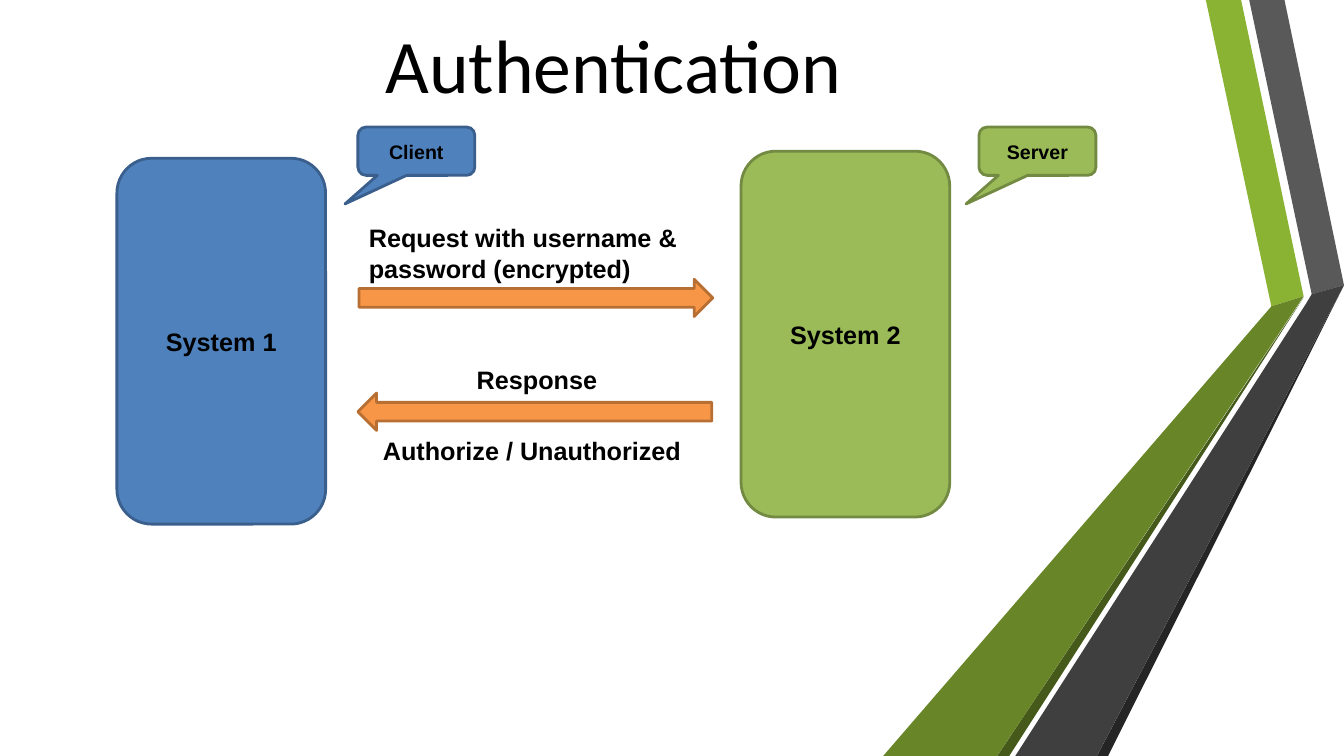
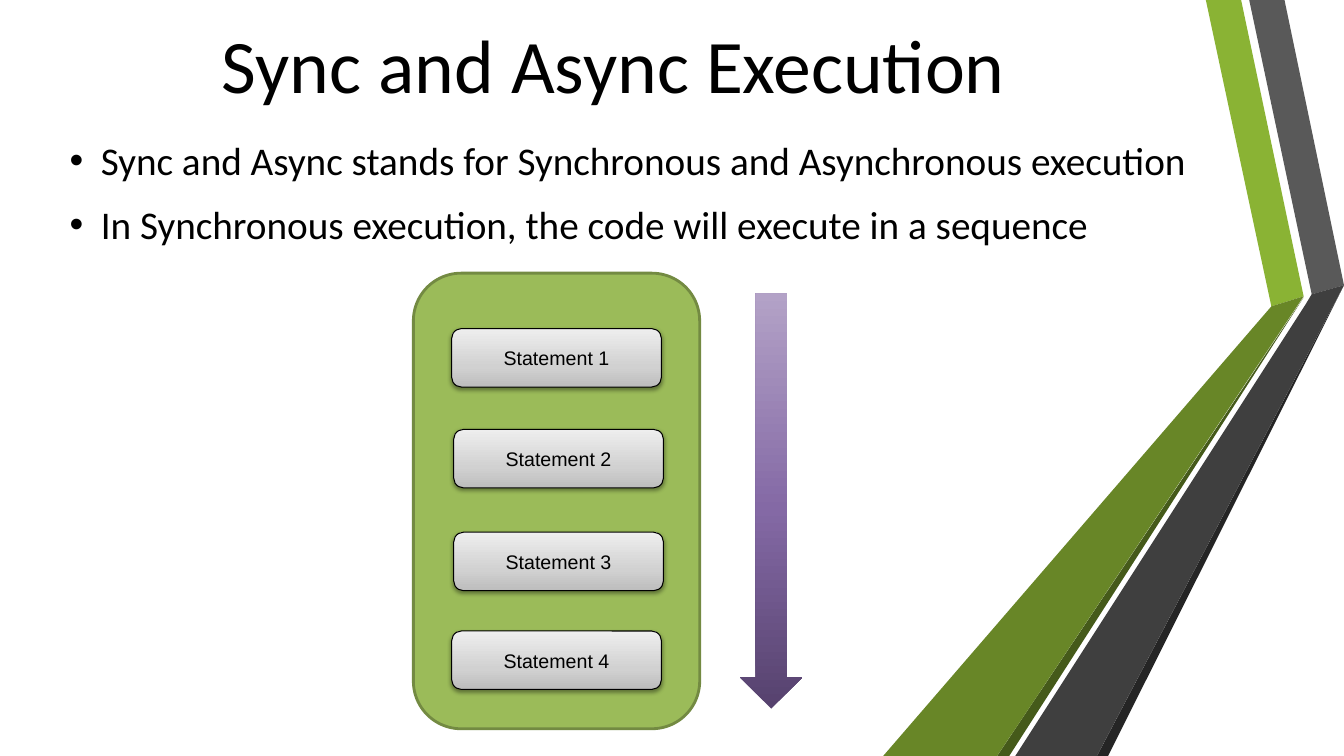
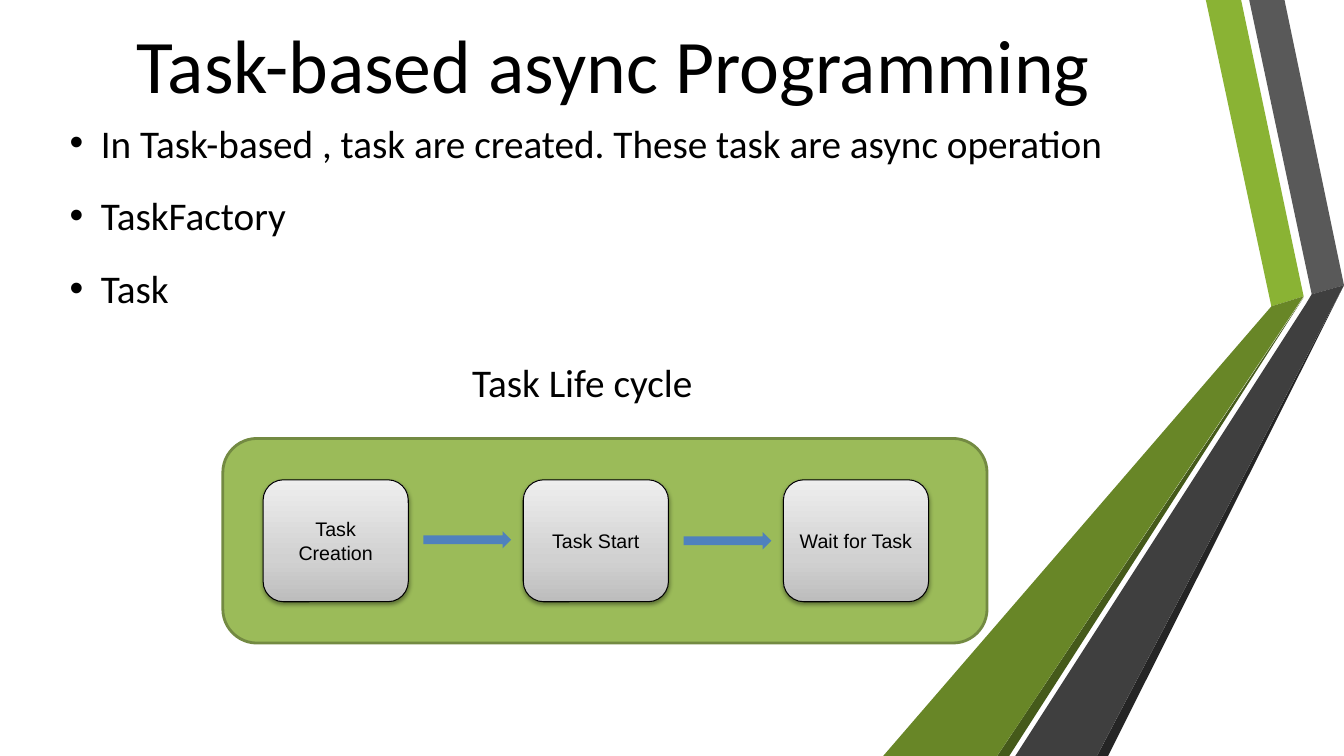
from lxml import etree
from pptx import Presentation
from pptx.dml.color import RGBColor
from pptx.enum.shapes import MSO_SHAPE
from pptx.enum.text import MSO_ANCHOR, PP_ALIGN
from pptx.oxml.ns import qn
from pptx.util import Inches, Pt

ROUND = MSO_SHAPE.ROUNDED_RECTANGLE
CALLOUT = MSO_SHAPE.ROUNDED_RECTANGULAR_CALLOUT
LEFT_ARROW = MSO_SHAPE.LEFT_ARROW
RIGHT_ARROW = MSO_SHAPE.RIGHT_ARROW
DOWN_ARROW = MSO_SHAPE.DOWN_ARROW
LEFT, CENTER = PP_ALIGN.LEFT, PP_ALIGN.CENTER
TOP, MIDDLE = MSO_ANCHOR.TOP, MSO_ANCHOR.MIDDLE

COLORS = {
    "white": "FFFFFF", "black": "000000",
    "blue": "4F81BD", "blue_line": "3A5F8C",
    "green": "9BBB59", "green_line": "738A42",
    "orange": "F79646", "orange_line": "B76F34",
    "lime": "8AB334", "olive": "688627", "olive_dark": "455A1A",
    "gray": "595959", "charcoal": "3F3F3F", "charcoal_dark": "252525",
}
SILVER = [(0, "BDBDBD"), (35, "D1D1D1"), (100, "EEEEEE")]
PURPLE = [(0, "56426E"), (48, "8469A5"), (100, "B3A2C7")]

RIBBONS = [
    ("lime", [(12.31, 0), (11.96, 0), (12.61, 3.04), (12.93, 2.94)]),
    ("gray", [(12.74, 0), (12.39, 0), (13.01, 2.92), (13.33, 2.83)]),
    ("charcoal_dark", [(13.33, 2.83), (10.88, 7.5), (10.99, 7.5)]),
    ("olive_dark", [(12.93, 2.95), (9.89, 7.5), (10.01, 7.5)]),
    ("olive", [(12.93, 2.94), (12.61, 3.04), (8.76, 7.5), (9.89, 7.5)]),
    ("charcoal", [(13.33, 2.83), (13.01, 2.92), (12.95, 3.02),
                  (10.07, 7.5), (10.88, 7.5)]),
]


def rgb(name):
    """Return the colour stored under a name."""
    return RGBColor.from_string(COLORS[name])


def add_xml(parent, tag, **attrs):
    """Append a DrawingML element with the given attributes."""
    attrs = {key: str(value) for key, value in attrs.items()}
    return etree.SubElement(parent, qn("a:" + tag), attrs)


class Deck:
    """The shared style and the slide being filled."""

    body_font, label_font = "Calibri", "Arial"

    def __init__(self):
        """Start an empty widescreen presentation."""
        self.prs = Presentation()
        self.prs.slide_width = Inches(13.33)
        self.prs.slide_height = Inches(7.5)
        self.s = None

    def slide(self, title):
        """Add a slide with the ribbons and a centred title."""
        self.s = self.prs.slides.add_slide(self.prs.slide_layouts[6])
        self.s.background.fill.solid()
        self.s.background.fill.fore_color.rgb = rgb("white")
        for color, points in RIBBONS:
            self.ribbon(color, points)
        self.body(title, 0.67, 0.18, 10.83, 0.91, size=54, align=CENTER)

    def ribbon(self, color, points):
        """Draw one filled polygon of the side decoration."""
        start, *rest = [(Inches(x), Inches(y)) for x, y in points]
        builder = self.s.shapes.build_freeform(*start, scale=1.0)
        builder.add_line_segments(rest, close=True)
        sp = builder.convert_to_shape()
        sp.shadow.inherit = False
        sp.fill.solid()
        sp.fill.fore_color.rgb = rgb(color)
        sp.line.fill.background()

    def put_text(self, sp, text, font, size, bold=False, align=CENTER, anchor=MIDDLE):
        """Put one formatted paragraph into a shape and return it."""
        tf = sp.text_frame
        tf.vertical_anchor = anchor
        p = tf.paragraphs[0]
        p.text = text
        p.alignment = align
        r = p.runs[0]
        r.font.name, r.font.size, r.font.bold = font, Pt(size), bold
        r.font.color.rgb = rgb("black")
        return p

    def text_box(self, x, y, w, h, wrap=True):
        """Add an empty text box."""
        sp = self.s.shapes.add_textbox(Inches(x), Inches(y), Inches(w), Inches(h))
        sp.text_frame.word_wrap = wrap
        return sp

    def body(self, text, x, y, w, h, size=28, align=LEFT):
        """Add body text without insets and return its paragraph."""
        sp = self.text_box(x, y, w, h)
        tf = sp.text_frame
        tf.margin_left = tf.margin_right = tf.margin_top = tf.margin_bottom = 0
        return self.put_text(sp, text, self.body_font, size, align=align, anchor=TOP)

    def bullet(self, text, y, h):
        """Add a full-width bullet line."""
        pPr = self.body(text, 0.67, y, 11.83, h)._p.get_or_add_pPr()
        pPr.set("marL", str(Inches(0.33)))
        pPr.set("indent", str(Inches(-0.31)))
        add_xml(add_xml(pPr, "buClr"), "srgbClr", val=COLORS["black"])
        add_xml(pPr, "buFont", typeface=self.label_font)
        add_xml(pPr, "buChar", char="•")

    def label(self, text, x, y, w, h, wrap=True):
        """Add a bold caption."""
        sp = self.text_box(x, y, w, h, wrap)
        self.put_text(sp, text, self.label_font, 18, True, LEFT, TOP)

    def shape(self, kind, x, y, w, h, fill=None, line=None, width=2):
        """Add a preset shape with an optional solid fill and outline."""
        sp = self.s.shapes.add_shape(kind, Inches(x), Inches(y), Inches(w), Inches(h))
        sp.shadow.inherit = False
        if fill:
            sp.fill.solid()
            sp.fill.fore_color.rgb = rgb(fill)
        if line:
            sp.line.color.rgb = rgb(line)
            sp.line.width = Pt(width)
        else:
            sp.line.fill.background()
        return sp

    def panel(self, kind, x, y, w, h, color, text=None, size=18):
        """Add an outlined shape, with a bold label if text is given."""
        sp = self.shape(kind, x, y, w, h, color, color + "_line")
        if text:
            self.put_text(sp, text, self.label_font, size, True)
        return sp

    def callout(self, text, x, y, color):
        """Add a speech bubble pointing down to the left."""
        sp = self.panel(CALLOUT, x, y, 1.16, 0.48, color, text, 14)
        for i, value in enumerate((-0.61, 1.09, 0.17)):
            sp.adjustments[i] = value

    def gradient(self, sp, stops):
        """Fill a shape with a gradient running from bottom to top."""
        sp.fill.gradient()
        sp.fill.gradient_angle = 90
        gs_list = sp._element.spPr.find(".//" + qn("a:gsLst"))
        for gs in list(gs_list):
            gs_list.remove(gs)
        for percent, color in stops:
            add_xml(add_xml(gs_list, "gs", pos=percent * 1000), "srgbClr", val=color)

    def step(self, text, x, y, w, h):
        """Add a silver box with a soft shadow."""
        sp = self.shape(ROUND, x, y, w, h, line="black", width=0.75)
        self.gradient(sp, SILVER)
        effects = sp._element.spPr.find(qn("a:effectLst"))
        shadow = add_xml(effects, "outerShdw", blurRad=Pt(3.1), dist=Pt(1.6),
                         dir=90 * 60000, rotWithShape=0)
        color = add_xml(shadow, "srgbClr", val=COLORS["black"])
        add_xml(color, "alpha", val=38000)
        self.put_text(sp, text, self.label_font, 14)


def authentication(deck):
    """Client and server exchanging a request and a response."""
    deck.slide("Authentication")
    deck.panel(ROUND, 1.16, 1.57, 2.07, 3.63, "blue", "System 1")
    deck.panel(ROUND, 7.35, 1.5, 2.07, 3.63, "green", "System 2")
    deck.label("Request with username & password (encrypted)", 3.56, 2.16, 3.32, 0.71)
    deck.callout("Client", 3.55, 1.26, "blue")
    deck.callout("Server", 9.71, 1.26, "green")
    deck.panel(LEFT_ARROW, 3.55, 3.9, 3.51, 0.37, "orange")
    deck.label("Response", 4.63, 3.57, 1.41, 0.4, wrap=False)
    request = deck.panel(LEFT_ARROW, 3.56, 2.77, 3.51, 0.37, "orange")
    request.rotation = 180
    deck.label("Authorize / Unauthorized", 3.7, 4.27, 3.36, 0.4)


def sync_execution(deck):
    """Statements running one after another."""
    deck.slide("Sync and Async Execution")
    deck.bullet("Sync and Async stands for Synchronous and Asynchronous execution", 1.35, 1)
    deck.bullet("In Synchronous execution, the code will execute in a sequence", 1.99, 1)
    deck.panel(ROUND, 4.1, 2.71, 2.84, 4.52, "green")
    places = [(4.48, 3.26), (4.5, 4.26), (4.5, 5.28), (4.48, 6.26)]
    for number, (x, y) in enumerate(places, 1):
        deck.step(f"Statement {number}", x, y, 2.08, 0.58)
    deck.gradient(deck.shape(DOWN_ARROW, 7.34, 2.91, 0.62, 4.12), PURPLE)


def task_programming(deck):
    """Task life cycle from creation to waiting."""
    deck.slide("Task-based async Programming")
    bullets = ["In Task-based , task are created. These task are async operation",
               "TaskFactory", "Task"]
    for i, text in enumerate(bullets):
        deck.bullet(text, 1.18 + 0.72 * i, 0.53)
    deck.panel(ROUND, 2.21, 4.35, 7.58, 2.03, "green")
    pitch = 2.58
    for i, text in enumerate(["Task Creation", "Task Start", "Wait for Task"]):
        deck.step(text, 2.61 + pitch * i, 4.76, 1.44, 1.21)
    for i in range(2):
        deck.shape(RIGHT_ARROW, 4.2 + pitch * i, 5.27 + 0.01 * i, 0.87, 0.17, "blue")
    deck.body("Task Life cycle", 2.21, 3.55, 7.13, 0.53, align=CENTER)


deck = Deck()
authentication(deck)
sync_execution(deck)
task_programming(deck)
deck.prs.save("out.pptx")
